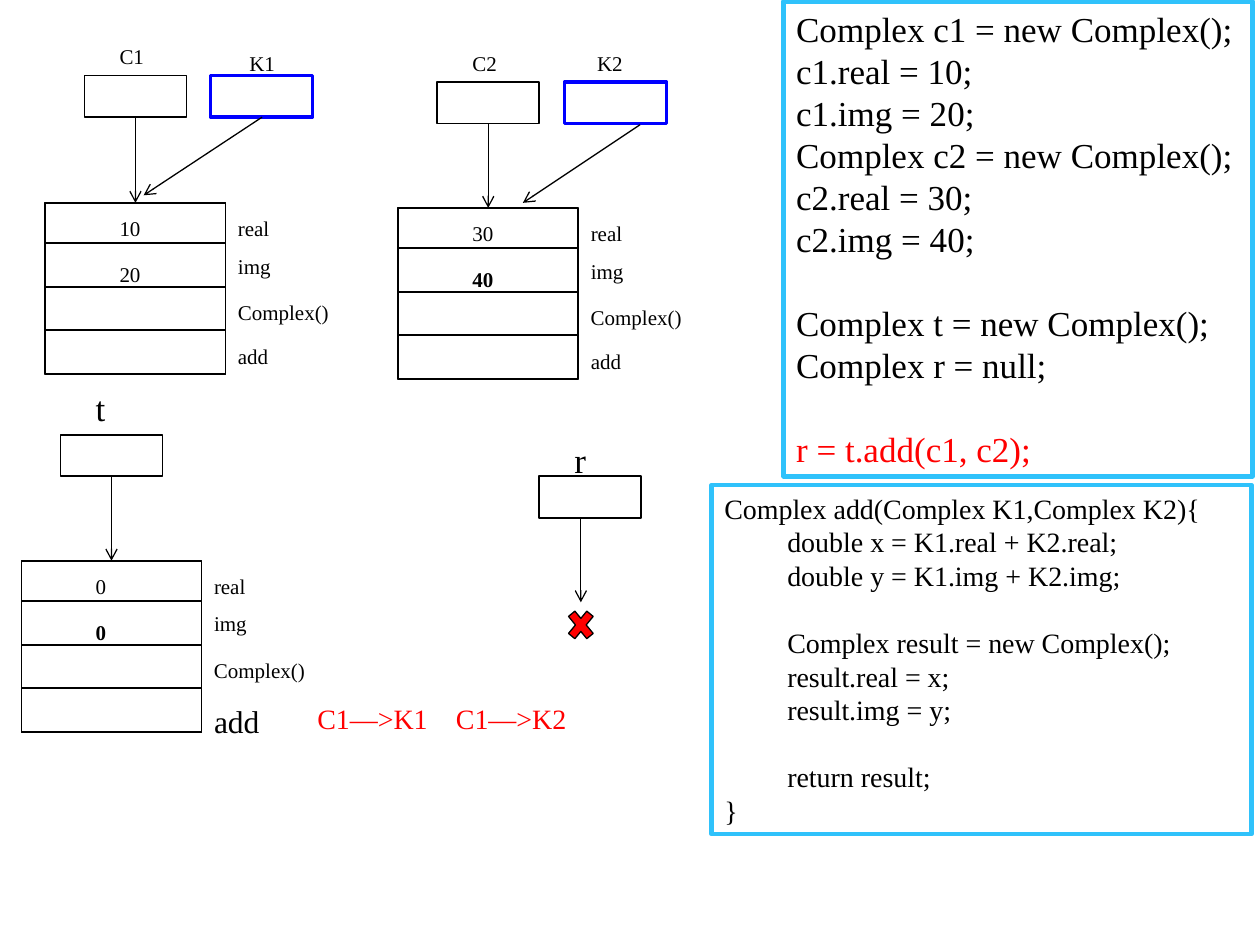
from dataclasses import dataclass

from pptx import Presentation
from pptx.dml.color import RGBColor
from pptx.enum.shapes import MSO_CONNECTOR as Conn, MSO_SHAPE as Shape
from pptx.enum.text import MSO_ANCHOR as Anchor, PP_ALIGN as Align
from pptx.oxml.ns import qn
from pptx.util import Inches, Pt
from lxml.etree import SubElement

BLACK = RGBColor(0x00, 0x00, 0x00)
WHITE = RGBColor(0xFF, 0xFF, 0xFF)
RED = RGBColor(0xFF, 0x00, 0x00)
BLUE = RGBColor(0x00, 0x00, 0xFF)
SKY = RGBColor(0x2F, 0xC2, 0xFB)
FONT = "Times New Roman"
LEAD = 1.2  # line pitch as a multiple of the text size

VAR_W, VAR_H = 0.81, 0.33
ROW_W, ROW_H = 1.43, 0.35
ROWS = (0, 0.32, 0.67, 1.01)
NAMES = ("real", "img", "Complex()", "add")
NAME_Y = (0.05, 0.35, 0.72, 1.07)

prs = Presentation()
prs.slide_width, prs.slide_height = Inches(10), Inches(7.5)
slide = prs.slides.add_slide(prs.slide_layouts[6])


@dataclass
class Var:
    """A reference variable: box position, name and name offset."""
    x: float
    y: float
    name: str
    dx: float = 0.18
    dy: float = 0.3
    size: int = 12
    color: RGBColor = BLACK
    width: float = 1


@dataclass
class Obj:
    """An object in memory and the variable that refers to it."""
    x: float
    y: float
    var: Var
    real: str
    img: str
    bold: bool = True
    add_size: int = 12


@dataclass
class Panel:
    """A framed code listing."""
    x: float
    y: float
    w: float
    h: float
    size: int
    code: str
    last: RGBColor = BLACK


def write(para, text: str, size: float, color: RGBColor = BLACK,
          bold: bool = False) -> None:
    para.alignment = Align.LEFT
    para.line_spacing = Pt(size * LEAD)
    run = para.add_run()
    run.text = text
    font = run.font
    font.name, font.size, font.bold = FONT, Pt(size), bold
    font.color.rgb = color


def label(x: float, y: float, text: str, size: int = 12, w: float = 0.82,
          color: RGBColor = BLACK, bold: bool = False, tab: float = 0) -> None:
    h = size * LEAD / 72 + 0.1
    box = slide.shapes.add_textbox(Inches(x), Inches(y), Inches(w), Inches(h))
    frame = box.text_frame
    frame.word_wrap = True
    para = frame.paragraphs[0]
    write(para, text, size, color, bold)
    if tab:
        stops = SubElement(para._p.get_or_add_pPr(), qn("a:tabLst"))
        SubElement(stops, qn("a:tab"), pos=str(Inches(tab)), algn="l")


def block(x: float, y: float, w: float, h: float, color: RGBColor = BLACK,
          width: float = 1, fill: RGBColor | None = WHITE,
          kind: Shape = Shape.RECTANGLE):
    box = slide.shapes.add_shape(kind, Inches(x), Inches(y), Inches(w), Inches(h))
    box.shadow.inherit = False
    if fill is None:
        box.fill.background()
    else:
        box.fill.solid()
        box.fill.fore_color.rgb = fill
    box.line.color.rgb = color
    box.line.width = Pt(width)
    return box


def arrow(x1: float, y1: float, x2: float, y2: float) -> None:
    line = slide.shapes.add_connector(
        Conn.STRAIGHT, Inches(x1), Inches(y1), Inches(x2), Inches(y2))
    line.line.color.rgb = BLACK
    line.line.width = Pt(0.75)
    SubElement(line.line._get_or_add_ln(), qn("a:tailEnd"), type="arrow")
    SubElement(line._element.spPr, qn("a:effectLst"))


def draw_var(var: Var) -> None:
    block(var.x, var.y, VAR_W, VAR_H, var.color, var.width)
    label(var.x + var.dx, var.y - var.dy, var.name, var.size)


def draw_obj(obj: Obj) -> None:
    draw_var(obj.var)
    block(obj.x, obj.y, ROW_W, ROWS[-1] + ROW_H)
    for dy in ROWS:
        block(obj.x, obj.y + dy, ROW_W, ROW_H)
    for name, dy in zip(NAMES, NAME_Y):
        size = obj.add_size if name == "add" else 12
        label(obj.x + ROW_W, obj.y + dy, name, size, 1.1 if "(" in name else 0.82)
    label(obj.x + 0.49, obj.y + 0.05, obj.real)
    label(obj.x + 0.49, obj.y + 0.42, obj.img, bold=obj.bold)
    mid = obj.var.x + VAR_W / 2
    arrow(mid, obj.var.y + VAR_H, mid, obj.y)


def draw_panel(panel: Panel) -> None:
    box = block(panel.x, panel.y, panel.w, panel.h, SKY, 2.75, None)
    frame = box.text_frame
    frame.word_wrap = True
    frame.vertical_anchor = Anchor.TOP
    lines = panel.code.split("\n")
    para, gap = frame.paragraphs[0], False
    for i, line in enumerate(lines):
        if not line:
            gap = True
            continue
        if i:
            para = frame.add_paragraph()
        if gap:
            para.space_before = Pt(panel.size * LEAD)
            gap = False
        write(para, line, panel.size, panel.last if i == len(lines) - 1 else BLACK)


# Objects with the variables c1, c2 and t
OBJS = (
    Obj(0.36, 1.61, Var(0.67, 0.6, "C1"), "10", "20", bold=False),
    Obj(3.16, 1.65, Var(3.47, 0.65, "C2"), "30", "40"),
    Obj(0.17, 4.45, Var(0.48, 3.45, "t", dy=0.43, size=20), "0", "0", add_size=18),
)
for obj in OBJS:
    draw_obj(obj)

# Null reference r
draw_var(Var(4.28, 3.78, "r", dy=0.35, size=20))
arrow(4.61, 4.11, 4.61, 4.78)
block(4.47, 4.79, 0.28, 0.34, width=0.75, fill=RED, kind=Shape.MATH_MULTIPLY)

# Parameters K1 and K2
draw_var(Var(1.67, 0.6, "K1", 0.21, 0.25, color=BLUE, width=2))
arrow(2.08, 0.93, 1.14, 1.55)
draw_var(Var(4.48, 0.65, "K2", 0.16, color=BLUE, width=2))
arrow(5.08, 0.99, 4.15, 1.61)
label(2.42, 5.52, "C1—>K1\tC1—>K2", 16, 2.75, RED, tab=1.1)

# Code listings
MAIN = """Complex c1 = new Complex();
c1.real = 10;
c1.img = 20;
Complex c2 = new Complex();
c2.real = 30;
c2.img = 40;

Complex t = new Complex();
Complex r = null;

r = t.add(c1, c2);"""
ADD = """Complex add(Complex K1,Complex K2){
\tdouble x = K1.real + K2.real;
\tdouble y = K1.img + K2.img;

\tComplex result = new Complex();
\tresult.real = x;
\tresult.img = y;

\treturn result;
}"""
draw_panel(Panel(6.22, 0.01, 3.72, 3.77, 20, MAIN, RED))
draw_panel(Panel(5.65, 3.85, 4.28, 2.77, 16, ADD))

prs.save("out.pptx")
